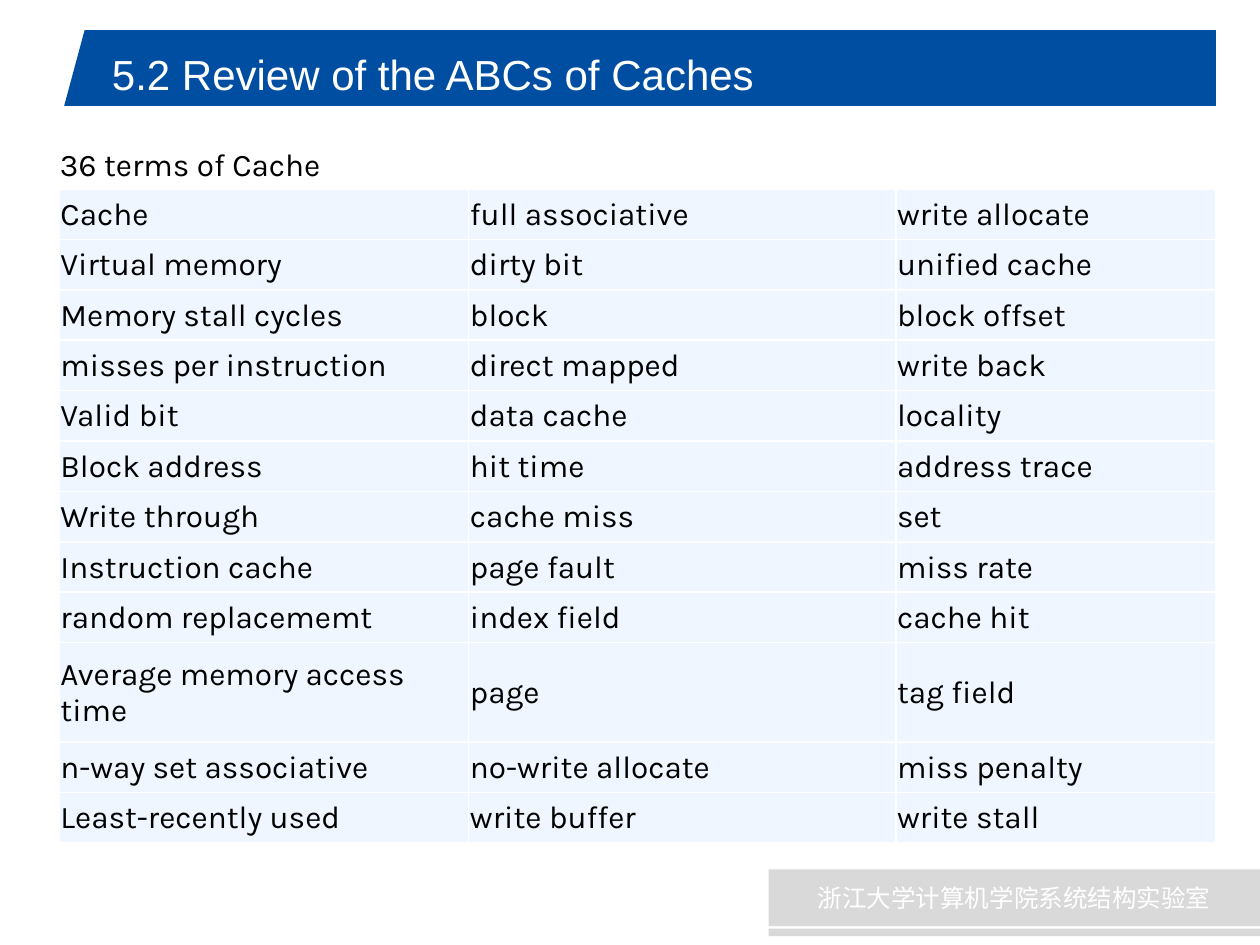
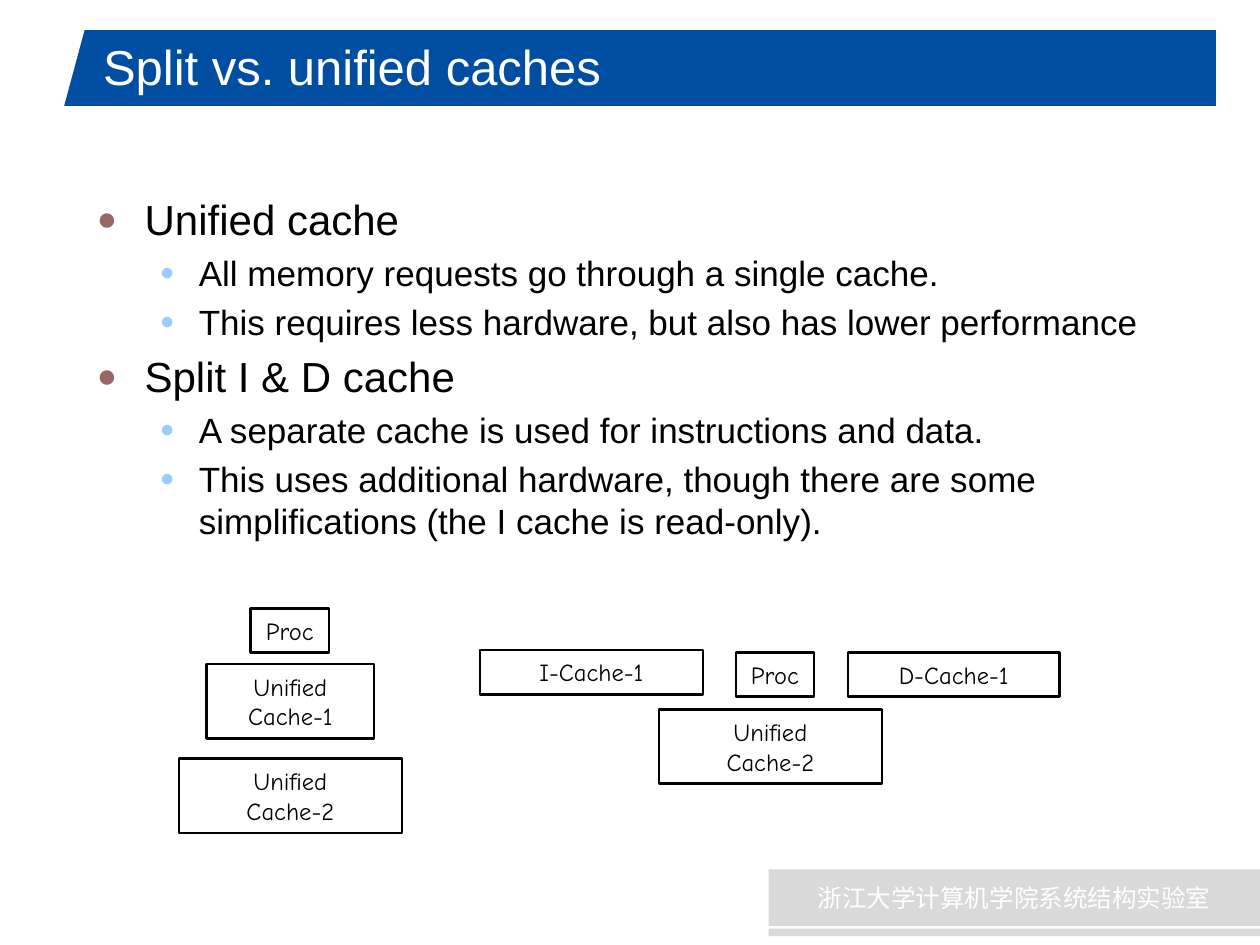
"""Build two slides reviewing cache terms and split versus unified caches."""
from dataclasses import dataclass
from typing import NamedTuple

from lxml.etree import SubElement
from pptx import Presentation
from pptx.dml.color import RGBColor
from pptx.enum.shapes import MSO_SHAPE as Preset
from pptx.enum.text import MSO_ANCHOR as Anchor, MSO_AUTO_SIZE as AutoSize, PP_ALIGN as Align
from pptx.oxml.ns import qn
from pptx.util import Inches, Pt


class TextStyle(NamedTuple):
    font: str
    size: float
    color: str


class BulletStyle(NamedTuple):
    text: TextStyle
    margin: float
    hang: float
    color: str
    percent: int


class Area(NamedTuple):
    left: float
    top: float
    width: float
    height: float


class Bar(NamedTuple):
    preset: Preset
    area: Area
    color: str


class CacheBox(NamedTuple):
    label: str
    area: Area
    wrap: bool = True


@dataclass(frozen=True)
class Theme:
    blue: str = "004EA2"
    grey: str = "D9D9D9"
    white: str = "FFFFFF"
    black: str = "000000"
    cell: str = "EFF6FF"
    heading: TextStyle = TextStyle("Arial", 24, "FFFFFF")
    large_heading: TextStyle = TextStyle("Arial", 28, "FFFFFF")
    footer: TextStyle = TextStyle("Noto Sans CJK SC", 14, "FFFFFF")
    term: TextStyle = TextStyle("Karla", 18, "000000")
    box: TextStyle = TextStyle("Comic Neue", 14, "000000")
    bullets: tuple[BulletStyle, ...] = (
        BulletStyle(TextStyle("Arial", 24, "000000"), 0.38, 0.38, "996666", 80),
        BulletStyle(TextStyle("Arial", 20, "000000"), 0.81, 0.31, "99CCFF", 70),
    )


THEME = Theme()
FOOTER_AREA = Area(6.1, 6.9, 3.9, 0.45)
BARS = (
    Bar(Preset.TRAPEZOID, Area(0.51, 0.24, 4.06, 0.6), THEME.blue),
    Bar(Preset.RECTANGLE, Area(3.82, 0.24, 5.83, 0.6), THEME.blue),
    Bar(Preset.RECTANGLE, Area(4.85, 0.79, 4.8, 0.05), THEME.blue),
    Bar(Preset.RECTANGLE, Area(6.1, 7.37, 3.9, 0.06), THEME.grey),
)
TERMS = (
    ("Cache", "full associative", "write allocate"),
    ("Virtual memory", "dirty bit", "unified cache"),
    ("Memory stall cycles", "block", "block offset"),
    ("misses per instruction", "direct mapped", "write back"),
    ("Valid bit", "data cache", "locality"),
    ("Block address", "hit time", "address trace"),
    ("Write through", "cache miss", "set"),
    ("Instruction cache", "page fault", "miss rate"),
    ("random replacememt", "index field", "cache hit"),
    ("Average memory access time", "page", "tag field"),
    ("n-way set associative", "no-write allocate", "miss penalty"),
    ("Least-recently used", "write buffer", "write stall"),
)
TERM_COLUMNS = (3.25, 3.39, 2.54)
ROW_HEIGHT, TALL_ROW_HEIGHT, TALL_ROW = 0.4, 0.79, 9
POINTS = (
    (0, "Unified cache"),
    (1, "All memory requests go through a single cache."),
    (1, "This requires less hardware, but also has lower performance"),
    (0, "Split I & D cache"),
    (1, "A separate cache is used for instructions and data."),
    (1, "This uses additional hardware, though there are some simplifications "
        "(the I cache is read-only)."),
)
CACHE_BOXES = (
    CacheBox("Proc", Area(1.99, 4.83, 0.62, 0.35), False),
    CacheBox("Unified\nCache-1", Area(1.64, 5.27, 1.33, 0.59)),
    CacheBox("Unified\nCache-2", Area(1.42, 6.02, 1.77, 0.59)),
    CacheBox("I-Cache-1", Area(3.81, 5.16, 1.77, 0.35)),
    CacheBox("Proc", Area(5.84, 5.18, 0.62, 0.35), False),
    CacheBox("D-Cache-1", Area(6.73, 5.18, 1.68, 0.35)),
    CacheBox("Unified\nCache-2", Area(5.23, 5.63, 1.77, 0.59)),
)


def inches(area: Area) -> list:
    return [Inches(length) for length in area]


def style_paragraph(paragraph, style: TextStyle) -> None:
    font = paragraph.font
    font.name, font.size = style.font, Pt(style.size)
    font.color.rgb = RGBColor.from_string(style.color)
    defaults = paragraph._p.pPr.find(qn("a:defRPr"))
    SubElement(defaults, qn("a:ea"), typeface=style.font)


def write(frame, text: str, style: TextStyle, align: Align = Align.LEFT) -> None:
    frame.text = text
    for paragraph in frame.paragraphs:
        paragraph.alignment = align
        style_paragraph(paragraph, style)


def add_shape(slide, preset: Preset, area: Area, fill: str | None = None,
              line: str | None = None):
    shape = slide.shapes.add_shape(preset, *inches(area))
    shape.shadow.inherit = False
    if fill:
        shape.fill.solid()
        shape.fill.fore_color.rgb = RGBColor.from_string(fill)
    else:
        shape.fill.background()
    if line:
        shape.line.color.rgb = RGBColor.from_string(line)
        shape.line.width = Pt(1.5)
    else:
        shape.line.fill.background()
    return shape


def add_text_frame(slide, area: Area, anchor: Anchor = Anchor.TOP, wrap: bool = True):
    frame = slide.shapes.add_textbox(*inches(area)).text_frame
    frame.vertical_anchor, frame.word_wrap = anchor, wrap
    return frame


def add_framed_slide(deck, title: str, area: Area, style: TextStyle):
    slide = deck.slides.add_slide(deck.slide_layouts[6])
    for bar in BARS:
        shape = add_shape(slide, bar.preset, bar.area, bar.color)
        if bar.preset == Preset.TRAPEZOID:
            shape.adjustments[0] = 0.27
    footer = add_shape(slide, Preset.RECTANGLE, FOOTER_AREA, THEME.grey).text_frame
    footer.vertical_anchor = Anchor.MIDDLE
    write(footer, "浙江大学计算机学院系统结构实验室", THEME.footer, Align.CENTER)
    write(add_text_frame(slide, area, Anchor.MIDDLE), title, style)
    return slide


def style_cell(cell, term: str) -> None:
    cell.margin_left = cell.margin_top = cell.margin_right = Inches(0.01)
    cell.margin_bottom = 0
    cell.vertical_anchor = Anchor.MIDDLE
    write(cell.text_frame, term, THEME.term)
    properties = cell._tc.get_or_add_tcPr()
    for side in ("lnL", "lnR", "lnT", "lnB"):
        border = SubElement(properties, qn(f"a:{side}"), w=str(Pt(1)))
        SubElement(SubElement(border, qn("a:solidFill")), qn("a:srgbClr"), val=THEME.white)
    cell.fill.solid()
    cell.fill.fore_color.rgb = RGBColor.from_string(THEME.cell)


def add_terms(slide) -> None:
    area = Area(0.47, 1.5, sum(TERM_COLUMNS), 5.19)
    table = slide.shapes.add_table(len(TERMS), len(TERM_COLUMNS), *inches(area)).table
    table.first_row = table.horz_banding = False
    for column, width in zip(table.columns, TERM_COLUMNS):
        column.width = Inches(width)
    for index, (row, terms) in enumerate(zip(table.rows, TERMS)):
        row.height = Inches(TALL_ROW_HEIGHT if index == TALL_ROW else ROW_HEIGHT)
        for cell, term in zip(row.cells, terms):
            style_cell(cell, term)


def add_bullet(paragraph, text: str, level: int) -> None:
    style = THEME.bullets[level]
    paragraph.text, paragraph.level = text, level
    properties = paragraph._p.get_or_add_pPr()
    properties.set("marL", str(Inches(style.margin)))
    properties.set("indent", str(-Inches(style.hang)))
    SubElement(SubElement(properties, qn("a:spcBef")), qn("a:spcPct"), val="20000")
    SubElement(SubElement(properties, qn("a:buClr")), qn("a:srgbClr"), val=style.color)
    SubElement(properties, qn("a:buSzPct"), val=str(style.percent * 1000))
    SubElement(properties, qn("a:buFont"), typeface=style.text.font)
    SubElement(properties, qn("a:buChar"), char="●")
    style_paragraph(paragraph, style.text)


def add_cache_box(slide, box: CacheBox) -> None:
    frame = add_shape(slide, Preset.RECTANGLE, box.area, line=THEME.black).text_frame
    frame.word_wrap, frame.vertical_anchor = box.wrap, Anchor.MIDDLE
    frame.auto_size = AutoSize.SHAPE_TO_FIT_TEXT
    write(frame, box.label, THEME.box, Align.CENTER)


def build_terms_slide(deck) -> None:
    slide = add_framed_slide(deck, "5.2 Review of the ABCs of Caches",
                             Area(0.79, 0.21, 8.42, 0.75), THEME.heading)
    caption = add_text_frame(slide, Area(0.35, 1.16, 2.32, 0.34), wrap=False)
    caption.auto_size = AutoSize.SHAPE_TO_FIT_TEXT
    write(caption, "36 terms of Cache ", THEME.term, Align.CENTER)
    caption.paragraphs[0].line_spacing = 0.8
    add_terms(slide)


def build_split_slide(deck) -> None:
    slide = add_framed_slide(deck, "Split vs. unified caches",
                             Area(0.72, 0.25, 8.64, 0.55), THEME.large_heading)
    body = add_text_frame(slide, Area(0.67, 1.49, 8.67, 4.83))
    for index, (level, text) in enumerate(POINTS):
        add_bullet(body.add_paragraph() if index else body.paragraphs[0], text, level)
    for box in CACHE_BOXES:
        add_cache_box(slide, box)


def main() -> None:
    deck = Presentation()
    deck.slide_width, deck.slide_height = Inches(10), Inches(7.5)
    build_terms_slide(deck)
    build_split_slide(deck)
    deck.save("out.pptx")


if __name__ == "__main__":
    main()
